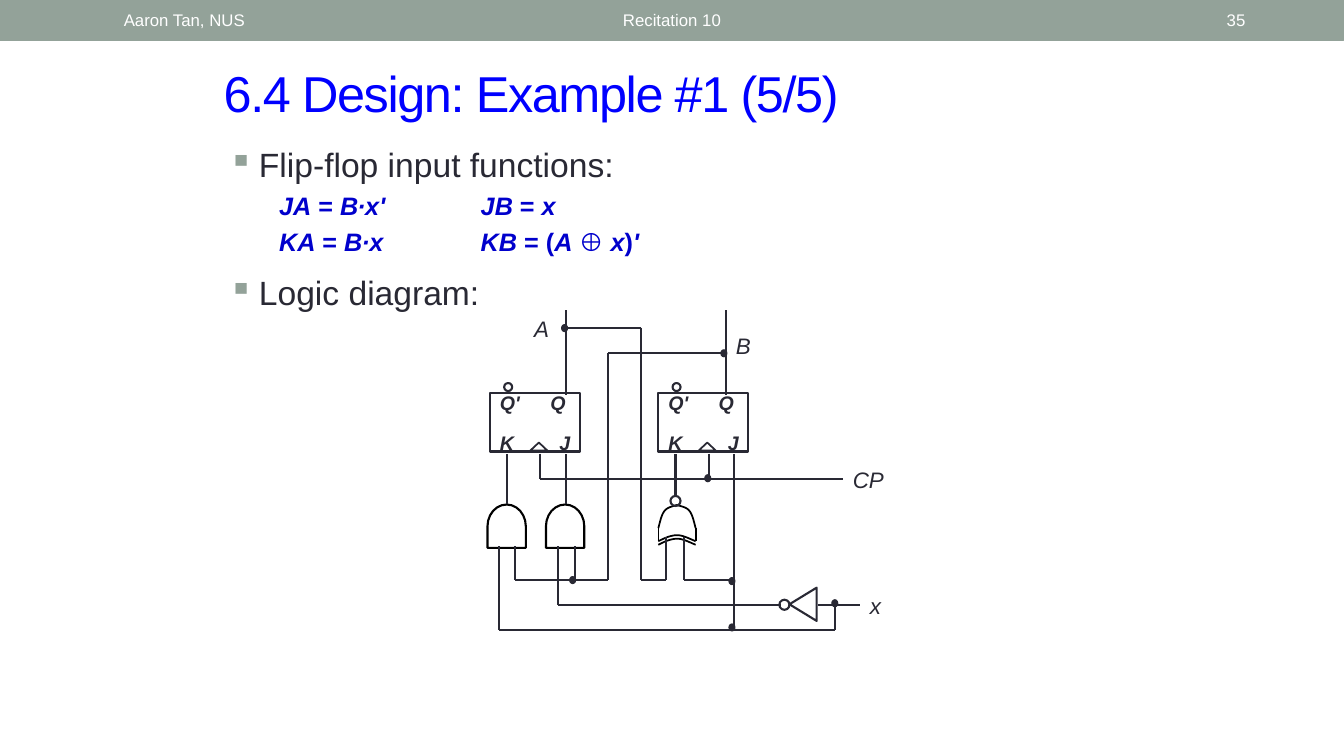
from dataclasses import dataclass

from lxml import etree
from pptx import Presentation
from pptx import util as u
from pptx.dml.color import RGBColor
from pptx.enum import shapes, text
from pptx.oxml import ns

Inches, Pt = u.Inches, u.Pt
KIND, ALIGN = shapes.MSO_SHAPE, text.PP_ALIGN


@dataclass(frozen=True)
class Theme:
    font: str = "Arial"
    white: str = "FFFFFF"
    band: str = "93A299"
    title: str = "0000FF"
    formula: str = "0000CC"
    ink: str = "292934"
    gate: str = "000000"
    title_size: int = 36
    body_size: int = 24
    formula_size: int = 18
    signal_size: int = 16
    pin_size: int = 14
    header_size: int = 12
    wire: float = 1.5
    thin: float = 1.25
    hair: float = 0.75


THEME = Theme()


def set_all(target, values):
    for name, value in values.items():
        setattr(target, name, value)


def add_span(para, words, size, color, bold=False, italic=False):
    span = para.add_run()
    span.text = words
    set_all(span.font, {"name": THEME.font, "size": Pt(size),
                        "bold": bold, "italic": italic})
    span.font.color.rgb = RGBColor.from_string(color)
    return span


def add_text_box(parent, left, top, width, height, **frame_values):
    box = parent.add_textbox(*map(Inches, (left, top, width, height)))
    set_all(box.text_frame, {"word_wrap": True, **frame_values})
    return box.text_frame


def add_line_of_text(page, place, words, size, color, align=ALIGN.LEFT):
    frame = add_text_box(page.shapes, *place, vertical_anchor=text.MSO_ANCHOR.MIDDLE)
    para = frame.paragraphs[0]
    para.alignment = align
    return add_span(para, words, size, color)


def paint(shape, line, width, fill=None):
    shape.shadow.inherit = False
    if fill:
        shape.fill.solid()
        shape.fill.fore_color.rgb = RGBColor.from_string(fill)
    else:
        shape.fill.background()
    shape.line.color.rgb = RGBColor.from_string(line)
    shape.line.width = Pt(width)


def add_figure(parent, kind, left, top, width, height, line=THEME.ink,
               weight=THEME.wire, fill=None, rotation=0):
    shape = parent.add_shape(kind, *map(Inches, (left, top, width, height)))
    shape.rotation = rotation
    paint(shape, line, weight, fill)


def add_wire(parent, *points, color=THEME.ink, weight=THEME.wire):
    """Straight segments through the given points."""
    for start, end in zip(points, points[1:]):
        wire = parent.add_connector(shapes.MSO_CONNECTOR.STRAIGHT,
                                    *map(Inches, (*start, *end)))
        wire.line.color.rgb = RGBColor.from_string(color)
        wire.line.width = Pt(weight)
        etree.SubElement(wire._element.spPr, ns.qn("a:effectLst"))


def add_curve(parent, points, steps=12):
    """Open outline through joined cubic curves: a start, then three points each."""
    traced = []
    for first in range(0, len(points) - 1, 3):
        corners = points[first:first + 4]
        for step in range(1, steps + 1):
            t = step / steps
            weights = ((1 - t) ** 3, 3 * t * (1 - t) ** 2, 3 * t * t * (1 - t), t ** 3)
            traced.append(tuple(Inches(sum(w * c[axis] for w, c in zip(weights, corners)))
                                for axis in (0, 1)))
    outline = parent.build_freeform(*map(Inches, points[0]))
    outline.add_line_segments(traced, close=False)
    paint(outline.convert_to_shape(), THEME.gate, THEME.thin)


def add_label(parent, left, top, words, width, size=THEME.signal_size, bold=False):
    frame = add_text_box(parent, left, top, width, size / 43.2, word_wrap=False,
                         auto_size=text.MSO_AUTO_SIZE.SHAPE_TO_FIT_TEXT)
    add_span(frame.paragraphs[0], words, size, THEME.ink, bold, True)


def add_header(page):
    add_figure(page.shapes, KIND.RECTANGLE, 0, 0, 13.33, 0.4, THEME.band, THEME.hair, THEME.band)
    for left, width, words, align in ((3.02, 7.29, "Recitation 10", ALIGN.CENTER),
                                      (1.13, 3.17, "Aaron Tan, NUS", ALIGN.LEFT),
                                      (11.5, 0.95, "35", ALIGN.RIGHT)):
        add_line_of_text(page, (left, 0.02, width, 0.36), words,
                         THEME.header_size, THEME.white, align)


def set_indent(para, left, first):
    props = para._p.get_or_add_pPr()
    props.set("marL", str(Inches(left)))
    props.set("indent", str(Inches(first)))
    return props


def add_bullet(para, words, before):
    props = set_indent(para, 0.3, -0.3)
    tint = etree.SubElement(props, ns.qn("a:buClr"))
    etree.SubElement(tint, ns.qn("a:srgbClr"), val=THEME.band)
    etree.SubElement(props, ns.qn("a:buChar"), char="▪")
    para.space_before = Pt(before)
    add_span(para, words, THEME.body_size, THEME.ink)


def add_formula(para, pieces):
    """Pieces alternate between italic and upright."""
    para.level = 1
    set_indent(para, 0.5, -0.2)
    para.space_before = Pt(4.2)
    for order, piece in enumerate(pieces):
        add_span(para, piece, THEME.formula_size, THEME.formula, True, order % 2 == 0)


def add_body(page):
    frame = add_text_box(page.shapes, 2.17, 1.33, 9, 1.83, margin_top=Inches(0.1))
    add_bullet(frame.paragraphs[0], "Flip-flop input functions:", 0)
    add_formula(frame.add_paragraph(), ("\tJA", " = ", "B∙x'\t\tJB", " = ", "x"))
    add_formula(frame.add_paragraph(), ("\tKA", " = ", "B∙x\t\tKB", " = (", "A ",
                                        "⊕ ", "x", ")", "'"))
    add_bullet(frame.add_paragraph(), "Logic diagram:", 11)


def add_flip_flop(parent, left):
    add_figure(parent, KIND.RECTANGLE, left, 3.9, 0.89, 0.58)
    add_figure(parent, KIND.ISOSCELES_TRIANGLE, left + 0.4, 4.39, 0.17, 0.08, weight=THEME.thin)
    for shift, top, words, width in ((0, 3.83, "Q'", 0.42), (0.5, 3.83, "Q", 0.35),
                                     (0, 4.23, "K", 0.34), (0.59, 4.23, "J", 0.31)):
        add_label(parent, left + shift, top, words, width, THEME.pin_size, True)
    add_figure(parent, KIND.OVAL, left + 0.14, 3.8, 0.08, 0.08, fill=THEME.white)
    add_wire(parent, (left + 0.5, 4.5), (left + 0.5, 4.75))


def add_xnor_gate(parent):
    left, right = 6.53, 6.9
    for drop in (0, 0.035):
        back = ((left, 5.37), (6.59, 5.34), (6.65, 5.31), (6.72, 5.31),
                (6.78, 5.31), (6.87, 5.36), (right, 5.37))
        add_curve(parent, [(x, y + drop) for x, y in back])
    side = ((left, 5.24), (6.55, 5.17), (6.56, 5.1), (6.6, 5.06),
            (6.63, 5.03), (6.68, 5.02), (6.73, 5.01))
    add_curve(parent, side)
    add_curve(parent, [(left + right - x, y) for x, y in side])
    for x in (left, right):
        add_wire(parent, (x, 5.37), (x, 5.24), color=THEME.gate, weight=THEME.thin)
    add_figure(parent, KIND.OVAL, 6.65, 4.92, 0.1, 0.1)


def add_logic_diagram(page):
    diagram = page.shapes.add_group_shape().shapes
    # Flip-flops and gates
    for left in (4.86, 6.53):
        add_flip_flop(diagram, left)
    for left in (4.81, 5.39):
        add_figure(diagram, KIND.FLOWCHART_DELAY, left, 5.03, 0.43, 0.38,
                   THEME.gate, rotation=270)
    add_xnor_gate(diagram)
    add_figure(diagram, KIND.FLOWCHART_EXTRACT, 7.8, 5.86, 0.33, 0.27, rotation=270)
    add_figure(diagram, KIND.OVAL, 7.73, 5.95, 0.1, 0.1)
    # Wires
    for route in (
        ((5.36, 4.75), (8.36, 4.75)),
        ((5.03, 5), (5.03, 4.5)), ((5.61, 5), (5.61, 4.5)),
        ((6.7, 4.92), (6.7, 4.5)), ((7.28, 6.25), (7.28, 4.5)),
        ((5.61, 3.08), (5.61, 3.92)), ((7.2, 3.08), (7.2, 3.92)),
        ((7.2, 3.5), (6.03, 3.5), (6.03, 5.75), (5.11, 5.75), (5.11, 5.42)),
        ((5.61, 3.25), (6.36, 3.25), (6.36, 5.75), (6.61, 5.75), (6.61, 5.33)),
        ((6.78, 5.33), (6.78, 5.75), (7.28, 5.75)),
        ((5.7, 5.42), (5.7, 5.75)),
        ((5.53, 5.42), (5.53, 6), (7.75, 6)), ((8.11, 6), (8.53, 6)),
        ((4.95, 5.42), (4.95, 6.25), (8.28, 6.25), (8.28, 6)),
    ):
        add_wire(diagram, *route)
    # Junctions
    for left, top in ((6.99, 4.71), (7.15, 3.47), (5.57, 3.22), (7.23, 5.73),
                      (5.65, 5.72), (8.25, 5.95), (7.23, 6.19)):
        add_figure(diagram, KIND.OVAL, left, top, 0.06, 0.07,
                   weight=THEME.hair, fill=THEME.ink)
    # Signal names
    for left, top, words, width in ((5.2, 3.08, "A", 0.35), (7.2, 3.25, "B", 0.35),
                                    (8.36, 4.58, "CP", 0.51), (8.53, 5.83, "x", 0.31)):
        add_label(diagram, left, top, words, width)


def main():
    deck = Presentation()
    set_all(deck, {"slide_width": Inches(13.33), "slide_height": Inches(7.5)})
    page = deck.slides.add_slide(deck.slide_layouts[6])
    add_header(page)
    title = add_line_of_text(page, (2.12, 0.57, 9.21, 0.7), "6.4 Design: Example #1 (5/5)",
                             THEME.title_size, THEME.title)
    title._r.get_or_add_rPr().set("spc", "-100")
    add_body(page)
    add_logic_diagram(page)
    deck.save("out.pptx")


if __name__ == "__main__":
    main()
